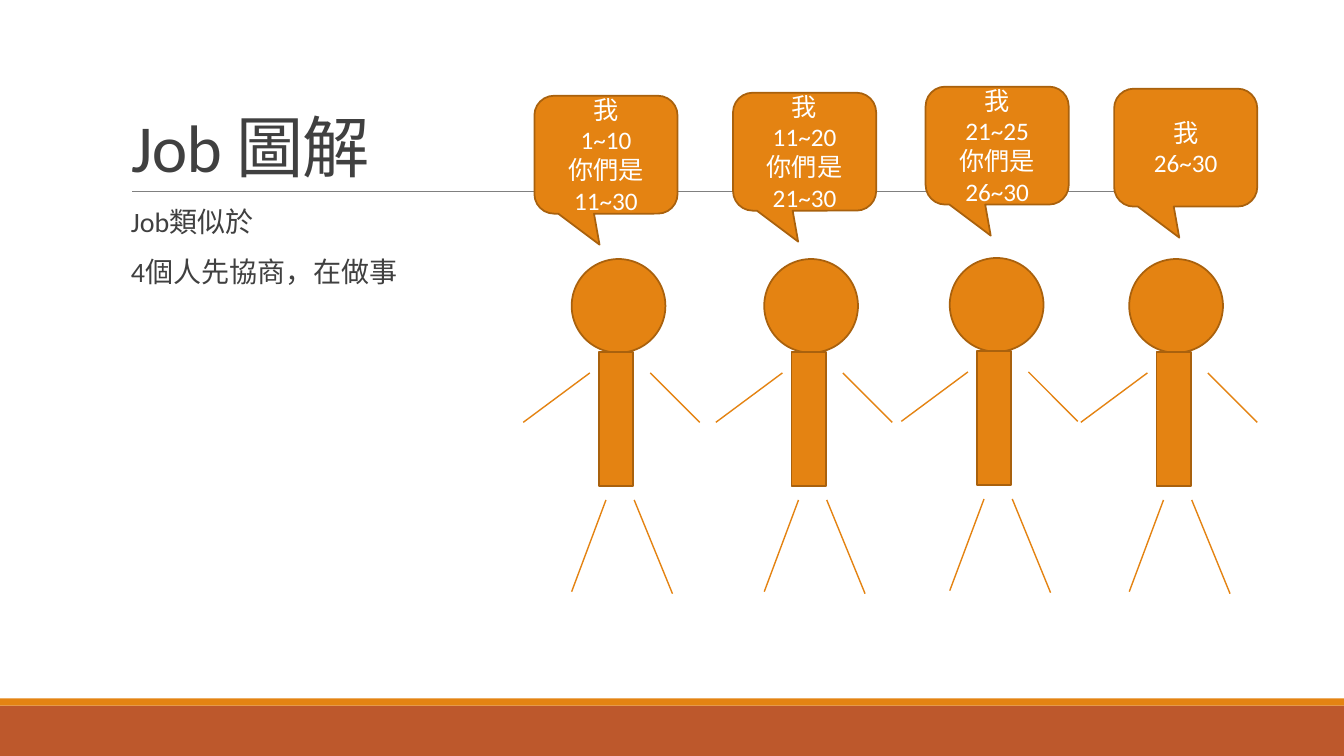
from pptx import Presentation
from pptx.dml.color import RGBColor
from pptx.enum.shapes import MSO_CONNECTOR, MSO_SHAPE as Shape
from pptx.enum.text import MSO_ANCHOR as Anchor, MSO_AUTO_SIZE, PP_ALIGN as Align
from pptx.oxml.ns import qn
from pptx.util import Inches, Pt
from lxml import etree

ORANGE, DARK_ORANGE, RUST = "E48312", "A9610D", "BD582C"
GRAY, INK, WHITE = "808080", "404040", "FFFFFF"

# Limbs as start and end offsets from the top left of a person's head
LIMBS = [
    ((0.18, 1.13), (-0.48, 1.62)),
    ((0.78, 1.13), (1.27, 1.62)),
    ((0.34, 2.39), (0, 3.3)),
    ((0.62, 2.39), (1, 3.32)),
]

# Head position, bubble position, bubble lines
PEOPLE = [
    ((5.67, 2.57), (5.3, 0.95), ["我", "1~10", "你們是11~30"]),
    ((7.58, 2.57), (7.27, 0.92), ["我", "11~20", "你們是21~30"]),
    ((9.42, 2.56), (9.18, 0.86), ["我", "21~25", "你們是26~30"]),
    ((11.2, 2.57), (11.05, 0.88), ["我", "26~30"]),
]


def color(value):
    return RGBColor.from_string(value)


def add_block(page, kind, left, top, width, height, fill, outline=None):
    block = page.shapes.add_shape(
        kind, Inches(left), Inches(top), Inches(width), Inches(height))
    block.shadow.inherit = False
    block.fill.solid()
    block.fill.fore_color.rgb = color(fill)
    if outline:
        block.line.color.rgb = color(outline)
        block.line.width = Pt(1.25)
    else:
        block.line.fill.background()
    return block


def add_line(page, start, end, stroke, width):
    line = page.shapes.add_connector(
        MSO_CONNECTOR.STRAIGHT, *(Inches(value) for value in (*start, *end)))
    line.line.color.rgb = color(stroke)
    line.line.width = Pt(width)
    etree.SubElement(line._element.spPr, qn("a:effectLst"))


def add_span(para, text, size, ink):
    span = para.add_run()
    span.text = text
    span.font.name = "Calibri"
    span.font.size = Pt(size)
    span.font.color.rgb = color(ink)
    return span


def fill_lines(frame, lines, size, ink, align):
    """Write one paragraph per line and return the paragraphs."""
    frame.word_wrap = True
    for index, text in enumerate(lines):
        para = frame.add_paragraph() if index else frame.paragraphs[0]
        para.alignment = align
        add_span(para, text, size, ink)
    return frame.paragraphs


def add_backdrop(page):
    add_block(page, Shape.RECTANGLE, 0, 7, 13.33, 0.5, RUST)
    add_block(page, Shape.RECTANGLE, 0, 6.93, 13.33, 0.07, ORANGE)
    add_line(page, (1.31, 1.9), (12.21, 1.9), GRAY, 0.5)


def set_title(page, left, top, width, height):
    title = page.shapes.title
    title.left, title.top = Inches(left), Inches(top)
    title.width, title.height = Inches(width), Inches(height)
    frame = title.text_frame
    frame.auto_size = MSO_AUTO_SIZE.NONE
    frame.vertical_anchor = Anchor.BOTTOM
    para = frame.paragraphs[0]
    para.alignment = Align.LEFT
    para.line_spacing = 0.85
    span = add_span(para, "Job 圖解", 48, INK)
    span.font._element.set("spc", "-50")


def add_body(page, left, top, width, height):
    box = page.shapes.add_textbox(
        Inches(left), Inches(top), Inches(width), Inches(height))
    lines = ["Job類似於", "4個人先協商，在做事"]
    for para in fill_lines(box.text_frame, lines, 20, INK, Align.LEFT):
        para.line_spacing = 0.9
        para.space_before = Pt(12)
        para.space_after = Pt(2)


def add_person(page, left, top):
    add_block(page, Shape.OVAL, left, top, 0.93, 0.93, ORANGE, DARK_ORANGE)
    add_block(page, Shape.RECTANGLE, left + 0.27, top + 0.92, 0.34, 1.33,
              ORANGE, DARK_ORANGE)
    for start, end in LIMBS:
        add_line(page, (left + start[0], top + start[1]),
                 (left + end[0], top + end[1]), ORANGE, 1)


def add_bubble(page, left, top, lines):
    bubble = add_block(page, Shape.ROUNDED_RECTANGULAR_CALLOUT,
                       left, top, 1.42, 1.17, ORANGE, DARK_ORANGE)
    for index, value in enumerate((-0.045, 0.763, 0.167)):
        bubble.adjustments[index] = value
    bubble.text_frame.vertical_anchor = Anchor.MIDDLE
    fill_lines(bubble.text_frame, lines, 18, WHITE, Align.CENTER)


def main():
    deck = Presentation()
    deck.slide_width, deck.slide_height = Inches(13.33), Inches(7.5)
    page = deck.slides.add_slide(deck.slide_layouts.get_by_name("Title Only"))
    add_backdrop(page)
    set_title(page, 1.2, 0.31, 11, 1.59)
    add_body(page, 1.2, 2.02, 11, 4.4)
    for head, _, _ in PEOPLE:
        add_person(page, *head)
    for _, corner, lines in PEOPLE:
        add_bubble(page, *corner, lines)
    deck.save("out.pptx")


if __name__ == "__main__":
    main()
